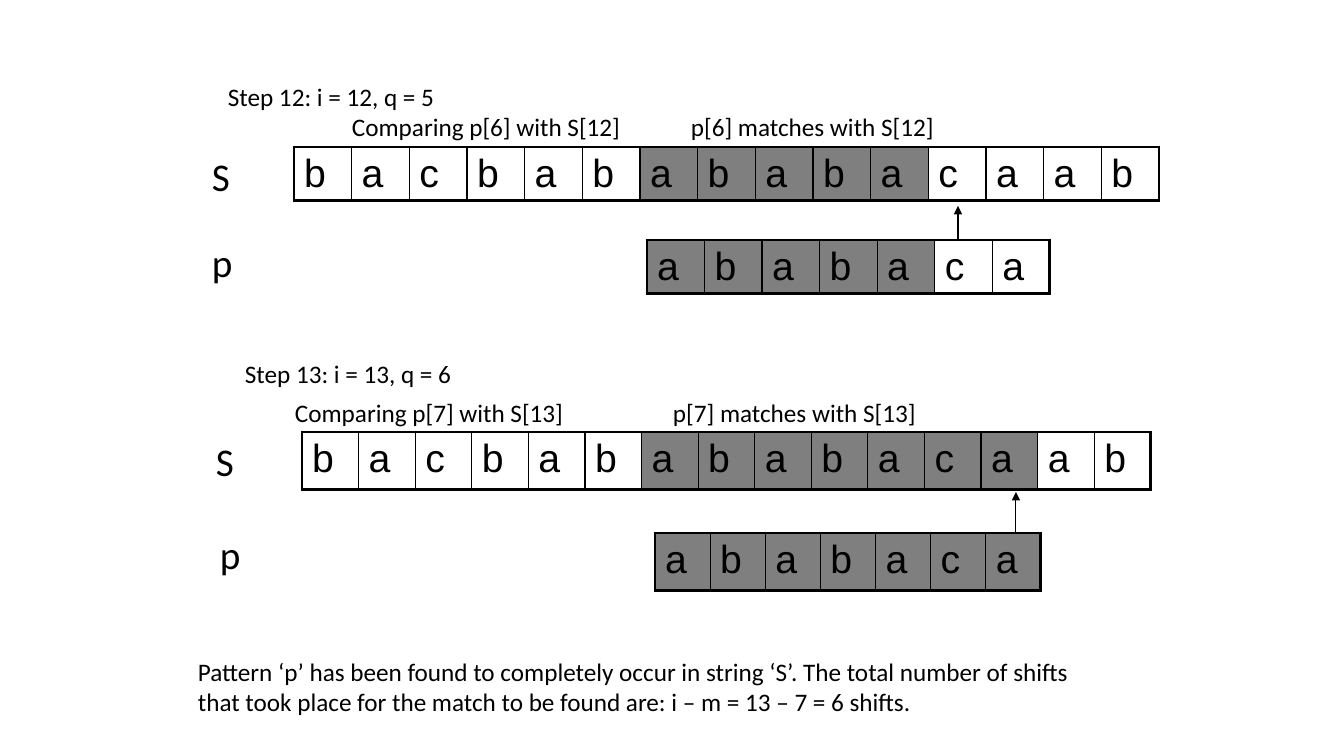
from lxml import etree
from pptx import Presentation
from pptx.dml.color import RGBColor
from pptx.enum.shapes import MSO_CONNECTOR as Connector
from pptx.enum.text import MSO_AUTO_SIZE as AutoSize
from pptx.oxml.ns import qn
from pptx.util import Emu, Pt

EMU_PER_PX = 914400 / 100.8
BLACK = "000000"
ROW_HEIGHT = 53
FRAME_HEIGHT = 57
TEXT = "bacbabababacaab"
PATTERN = "ababaca"
SHIFT = 6


def px(length):
    return Emu(round(length * EMU_PER_PX))


def color(hex_string):
    return RGBColor.from_string(hex_string)


def add_element(parent, tag, **attributes):
    return etree.SubElement(parent, qn(tag), attributes)


def format_paragraph(paragraph, text, size=18, font="Calibri", fill=BLACK,
                     line_spacing=None, space_before=None, hanging=0):
    run = paragraph.add_run()
    run.text = text
    run.font.size = Pt(size)
    run.font.name = font
    run.font.color.rgb = color(fill)
    if line_spacing:
        paragraph.line_spacing = line_spacing
    properties = paragraph._p.get_or_add_pPr()
    if space_before:
        spacing = add_element(properties, "a:spcBef")
        add_element(spacing, "a:spcPct", val=str(space_before * 1000))
    if hanging:
        properties.set("marL", str(px(hanging)))
        properties.set("indent", str(-px(hanging)))


def add_text(slide, text, left, top, width, height, wrap=False, grow=True, **style):
    box = slide.shapes.add_textbox(px(left), px(top), px(width), px(height))
    frame = box.text_frame
    frame.word_wrap = wrap
    frame.auto_size = AutoSize.SHAPE_TO_FIT_TEXT if grow else AutoSize.NONE
    for index, line in enumerate(text.split("\n")):
        paragraph = frame.add_paragraph() if index else frame.paragraphs[0]
        format_paragraph(paragraph, line, **style)


def set_borders(cell, **widths):
    properties = cell._tc.get_or_add_tcPr()
    for side in "LRTB":
        line = add_element(properties, f"a:ln{side}", w=str(Pt(widths[side])))
        fill = add_element(line, "a:solidFill")
        add_element(fill, "a:srgbClr", val=BLACK)


def shade(cell):
    cell.fill.solid()
    cell.fill.fore_color.rgb = color(BLACK)
    tint = cell._tc.tcPr.find(f"{qn('a:solidFill')}/{qn('a:srgbClr')}")
    add_element(tint, "a:alpha", val="50000")


def add_string(slide, letters, matched, left, top, width):
    """Draw one letter per cell, shading the matched positions."""
    count = len(letters)
    frame = slide.shapes.add_table(
        1, count, px(left), px(top), px(width), px(ROW_HEIGHT))
    frame.height = px(FRAME_HEIGHT)
    table = frame.table
    table.first_row = table.horz_banding = False
    for index, letter in enumerate(letters):
        table.columns[index].width = px(width / count)
        cell = table.cell(0, index)
        format_paragraph(cell.text_frame.paragraphs[0], letter,
                         size=28, font="Arial", space_before=20)
        set_borders(cell, T=2.25, B=2.25, L=1 if index else 2.25,
                    R=1 if index < count - 1 else 2.25)
        if index in matched:
            shade(cell)
        else:
            cell.fill.background()


def add_arrow(slide, x, start, end):
    arrow = slide.shapes.add_connector(
        Connector.STRAIGHT, px(x), px(start), px(x), px(end))
    arrow.line.color.rgb = color(BLACK)
    arrow.line.width = Pt(0.75)
    add_element(arrow.line._get_or_add_ln(), "a:tailEnd", type="triangle")
    add_element(arrow._element.spPr, "a:effectLst")


def add_step(slide, number, shaded, title, comparing, matches, text_row,
             pattern_row, text_label, pattern_label, arrow):
    position = f"p[{number - SHIFT}]"

    # String and pattern
    add_string(slide, TEXT, range(SHIFT, SHIFT + shaded), *text_row)
    add_string(slide, PATTERN, range(shaded), *pattern_row)

    # Captions
    add_text(slide, f"Step {number}: i = {number}, q = {number - SHIFT - 1}",
             *title, 454, 25, wrap=True, grow=False,
             line_spacing=0.9, space_before=20, hanging=38)
    add_text(slide, f"Comparing {position} with S[{number}]", *comparing, 291, 40)
    add_text(slide, f"{position} matches with S[{number}]", *matches, 266, 40)

    # Row labels and pointer
    add_text(slide, "S", *text_label, 38, 57, size=28)
    add_text(slide, "p", *pattern_label, 42, 57, size=28)
    add_arrow(slide, *arrow)


def main():
    presentation = Presentation()
    presentation.slide_width, presentation.slide_height = px(1344), px(756)
    slide = presentation.slides.add_slide(presentation.slide_layouts[6])

    add_step(slide, 12, shaded=5,
             title=(218, 80), comparing=(342, 106), matches=(681, 106),
             text_row=(294, 147, 865), pattern_row=(647, 240, 403),
             text_label=(202, 147), pattern_label=(202, 233), arrow=(958, 239, 206))
    add_step(slide, 13, shaded=7,
             title=(235, 357), comparing=(285, 392), matches=(663, 392),
             text_row=(302, 432, 849), pattern_row=(655, 533, 386),
             text_label=(206, 432), pattern_label=(210, 525), arrow=(1016, 533, 492))

    # Conclusion
    add_text(slide, "Pattern ‘p’ has been found to completely occur in string ‘S’. "
             "The total number of shifts\nthat took place for the match to be found "
             "are: i – m = 13 – 7 = 6 shifts.", 188, 651, 908, 72)
    presentation.save("out.pptx")


if __name__ == "__main__":
    main()
